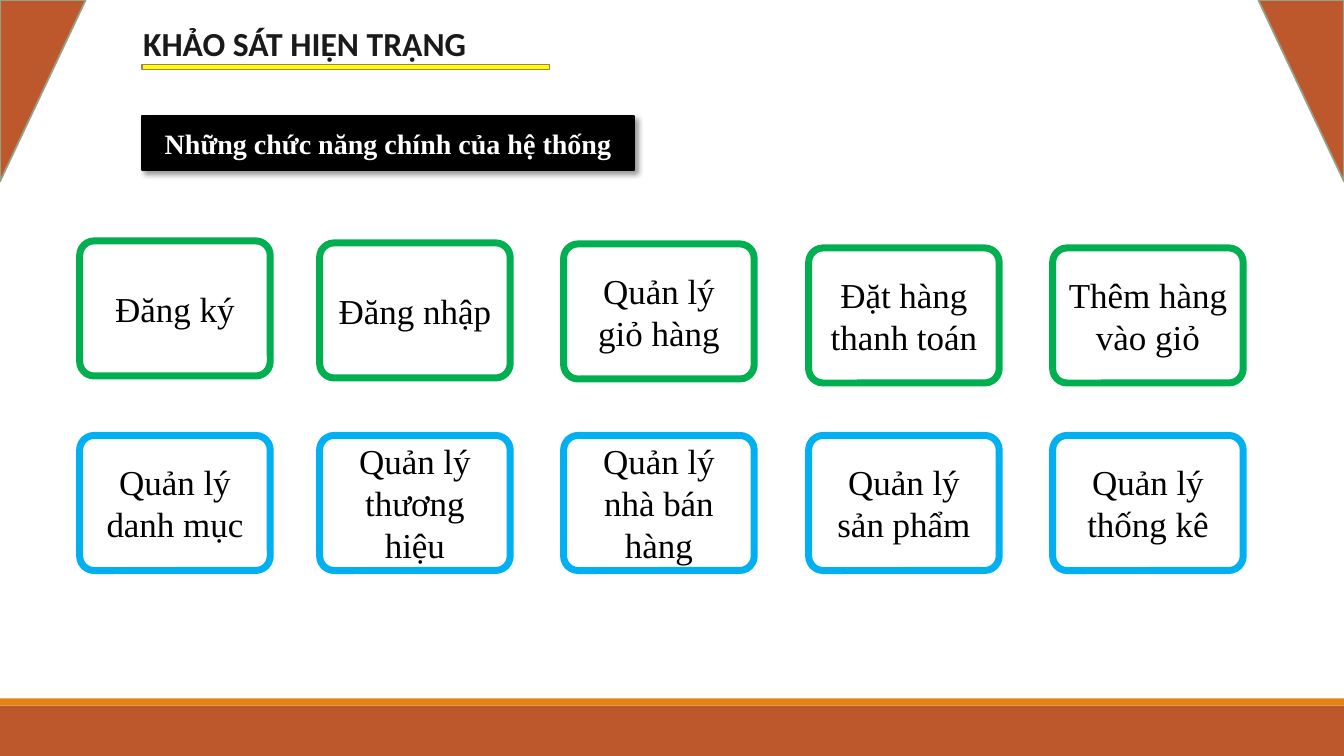
"""Build the slide listing the main functions of the system."""
from dataclasses import dataclass

import lxml.etree
import pptx
import pptx.dml.color
import pptx.enum.shapes
import pptx.enum.text
import pptx.oxml
import pptx.oxml.ns
import pptx.util

Inches = pptx.util.Inches
SHAPES = pptx.enum.shapes.MSO_SHAPE
ALIGN = pptx.enum.text.PP_ALIGN
ANCHOR = pptx.enum.text.MSO_ANCHOR


@dataclass(frozen=True)
class Theme:
    """Colours, fonts and type sizes of the slide."""
    rust: str = "BD582C"
    orange: str = "E48312"
    sage: str = "94A088"
    yellow: str = "FFFF00"
    bronze: str = "9B8357"
    green: str = "00B050"
    blue: str = "00B0F0"
    ink: str = "1A1A1A"
    black: str = "000000"
    white: str = "FFFFFF"
    title_font: str = "Calibri"
    body_font: str = "Times New Roman"
    title_size: int = 24
    heading_size: int = 20
    function_size: int = 25
    thin: float = 1.25
    thick: float = 5


THEME = Theme()
TITLE = "KHẢO SÁT HIỆN TRẠNG"
HEADING = "Những chức năng chính của hệ thống"
CUSTOMER_FUNCTIONS = [
    ("Đăng ký", 2.39),
    ("Đăng nhập", 2.41),
    ("Quản lý giỏ hàng", 2.42),
    ("Đặt hàng thanh toán", 2.46),
    ("Thêm hàng vào giỏ", 2.46),
]
ADMIN_TOP = 4.32
ADMIN_FUNCTIONS = [
    (text, ADMIN_TOP)
    for text in ("Quản lý danh mục", "Quản lý thương hiệu", "Quản lý nhà bán hàng",
                 "Quản lý sản phẩm", "Quản lý thống kê")
]
FUNCTION_ROWS = [(CUSTOMER_FUNCTIONS, THEME.green), (ADMIN_FUNCTIONS, THEME.blue)]

WIDTH, HEIGHT = 13.33, 7.5
COLUMN_LEFTS = [0.79, 3.17, 5.59, 8.02, 10.44]
CARD_WIDTH, CARD_HEIGHT, CARD_ROUNDING = 1.89, 1.34, 0.107
CORNER_WIDTH, CORNER_HEIGHT = 0.85, 1.8
CORNER_SHIFT = (CORNER_HEIGHT - CORNER_WIDTH) / 2
FOOTER_TOP, STRIPE_HEIGHT = 7, 0.07


def rgb(colour):
    """Turn a hex string into a colour."""
    return pptx.dml.color.RGBColor.from_string(colour)


def add_block(slide, preset, box, fill, outline=None, weight=THEME.thin):
    """Add a flat filled shape with an optional outline."""
    block = slide.shapes.add_shape(preset, *map(Inches, box))
    block.shadow.inherit = False
    block.fill.solid()
    block.fill.fore_color.rgb = rgb(fill)
    if outline:
        block.line.color.rgb = rgb(outline)
        block.line.width = pptx.util.Pt(weight)
    else:
        block.line.fill.background()
    return block


def write(block, text, font, size, colour, bold=False,
          align=ALIGN.CENTER, anchor=ANCHOR.MIDDLE):
    """Write one formatted run into a shape."""
    frame = block.text_frame
    frame.word_wrap = True
    frame.vertical_anchor = anchor
    paragraph = frame.paragraphs[0]
    paragraph.alignment = align
    run = paragraph.add_run()
    run.text = text
    run.font.name = font
    run.font.size = pptx.util.Pt(size)
    run.font.bold = bold
    run.font.color.rgb = rgb(colour)


def cast_shadow(block):
    """Give a shape a soft shadow towards the lower right."""
    effects = block._element.spPr.find(pptx.oxml.ns.qn("a:effectLst"))
    effects.append(pptx.oxml.parse_xml(
        f'<a:outerShdw {pptx.oxml.ns.nsdecls("a")} blurRad="50800" dist="38100" '
        f'dir="2700000" algn="tl" rotWithShape="0"><a:srgbClr val="{THEME.black}">'
        '<a:alpha val="40000"/></a:srgbClr></a:outerShdw>'))


def add_frame(slide):
    """Add the footer bands and the two corner triangles."""
    add_block(slide, SHAPES.RECTANGLE,
              (0, FOOTER_TOP, WIDTH, HEIGHT - FOOTER_TOP), THEME.rust)
    add_block(slide, SHAPES.RECTANGLE,
              (0, FOOTER_TOP - STRIPE_HEIGHT, WIDTH, STRIPE_HEIGHT), THEME.orange)
    corners = [
        ((-CORNER_SHIFT, CORNER_SHIFT, CORNER_HEIGHT, CORNER_WIDTH), 90),
        ((WIDTH - CORNER_WIDTH, 0, CORNER_WIDTH, CORNER_HEIGHT), 180),
    ]
    for box, angle in corners:
        corner = add_block(slide, SHAPES.RIGHT_TRIANGLE, box, THEME.rust, THEME.sage)
        corner.rotation = angle


def add_headings(slide):
    """Add the title, its underline and the black heading bar."""
    title = slide.shapes.title
    title.left, title.top, title.width, title.height = map(Inches, (1.3, 0.18, 4.88, 0.5))
    frame = title.text_frame
    frame.margin_left = frame.margin_right = Inches(0.12)
    write(title, TITLE, THEME.title_font, THEME.title_size, THEME.ink, True,
          ALIGN.LEFT, ANCHOR.TOP)
    add_block(slide, SHAPES.RECTANGLE, (1.41, 0.64, 4.04, 0.05),
              THEME.yellow, THEME.bronze)
    heading = add_block(slide, SHAPES.RECTANGLE, (1.41, 1.15, 4.88, 0.54),
                        THEME.black, THEME.black)
    cast_shadow(heading)
    write(heading, HEADING, THEME.body_font, THEME.heading_size, THEME.white, True)


def add_functions(slide):
    """Add one rounded card for each function."""
    for functions, outline in FUNCTION_ROWS:
        for left, (text, top) in zip(COLUMN_LEFTS, functions):
            card = add_block(slide, SHAPES.ROUNDED_RECTANGLE,
                             (left, top, CARD_WIDTH, CARD_HEIGHT),
                             THEME.white, outline, THEME.thick)
            card.adjustments[0] = CARD_ROUNDING
            write(card, text, THEME.body_font, THEME.function_size, THEME.black)


def main():
    """Create and save the presentation."""
    deck = pptx.Presentation()
    deck.slide_width, deck.slide_height = Inches(WIDTH), Inches(HEIGHT)
    slide = deck.slides.add_slide(deck.slide_layouts[5])
    add_frame(slide)
    add_headings(slide)
    add_functions(slide)
    deck.save("out.pptx")


if __name__ == "__main__":
    main()
